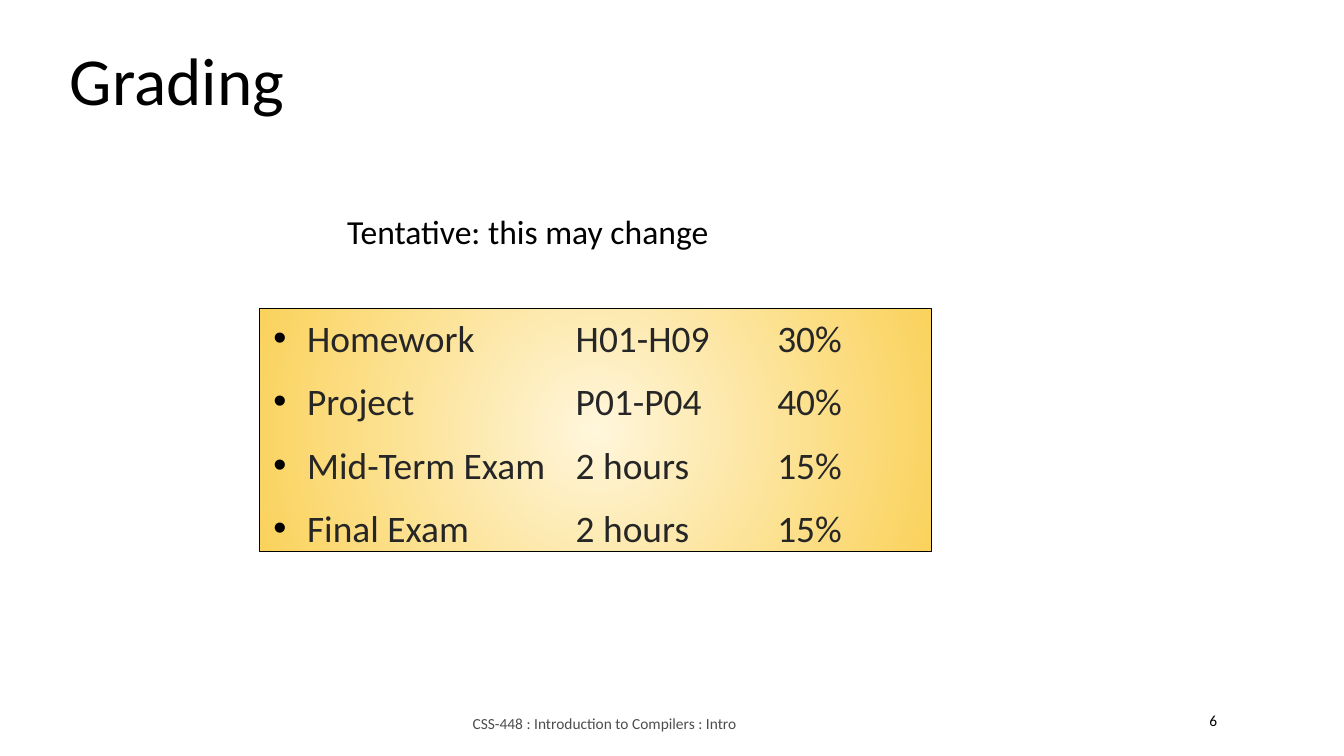
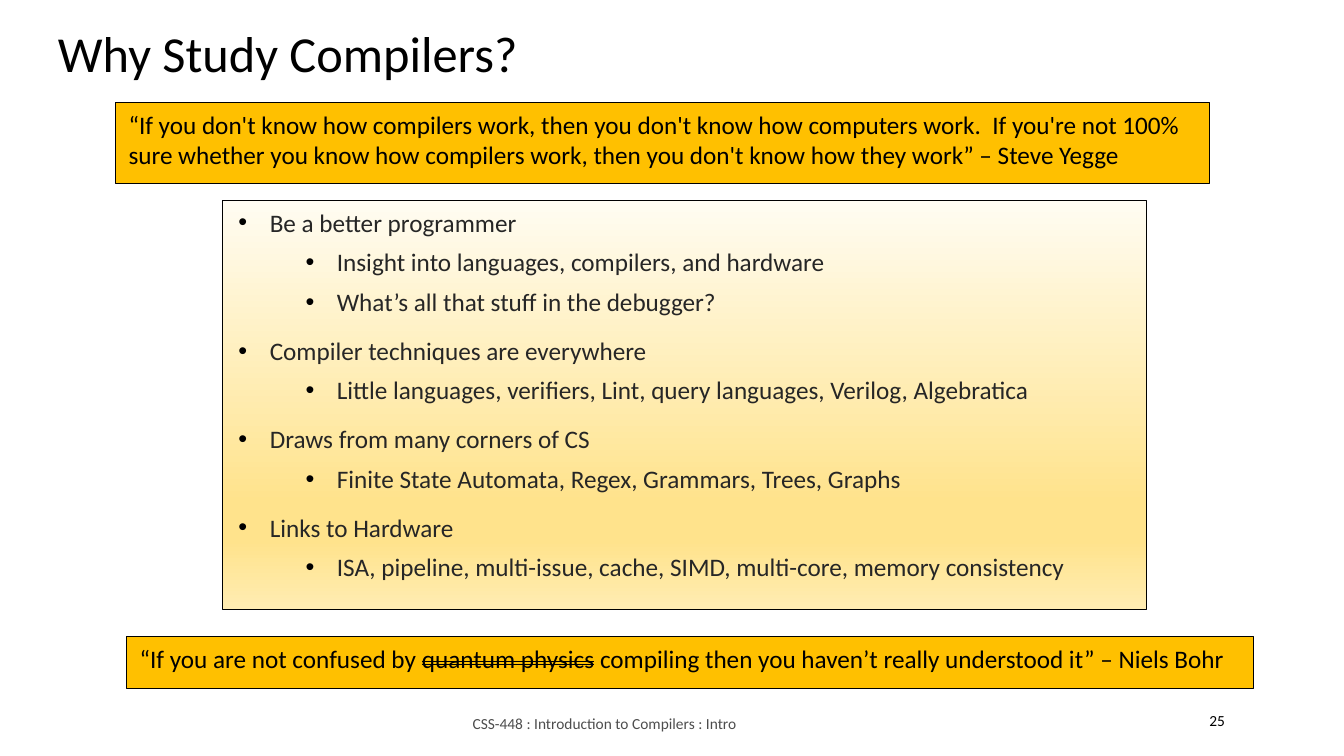
from lxml.etree import SubElement
from pptx import Presentation
from pptx.dml.color import RGBColor
from pptx.enum.shapes import MSO_SHAPE as Shape
from pptx.enum.text import MSO_ANCHOR as Anchor, MSO_AUTO_SIZE as AutoSize, PP_ALIGN as Align
from pptx.oxml.ns import qn
from pptx.util import Cm, Pt

FONT = "Calibri"
BLACK = RGBColor(0x00, 0x00, 0x00)
BODY_GRAY = RGBColor(0x26, 0x26, 0x26)
FOOTER_GRAY = RGBColor(0x4D, 0x4D, 0x4D)
AMBER = RGBColor(0xFF, 0xC0, 0x00)
PALE_CREAM = RGBColor(0xFF, 0xF6, 0xDB)
GOLD = RGBColor(0xFA, 0xD2, 0x5C)
IVORY = RGBColor(0xFF, 0xFC, 0xF2)
YELLOW = RGBColor(0xFF, 0xE3, 0x8C)
LIGHT_YELLOW = RGBColor(0xFF, 0xEC, 0xB2)

RADIAL_STOPS = [(0, PALE_CREAM), (100, GOLD)]
LINEAR_STOPS = [(0, IVORY), (74, YELLOW), (83, YELLOW), (100, LIGHT_YELLOW)]
FOOTER = "CSS-448 : Introduction to Compilers : Intro"
INSETS = (0.34, 0.17)
TAB_STEP = 2.54
TAB_COUNT = 5

GRADES = [
    (0, "Homework\t\tH01-H09\t30%"),
    (0, "Project\t\tP01-P04\t40%"),
    (0, "Mid-Term Exam\t2 hours\t15%"),
    (0, "Final Exam\t\t2 hours\t15%"),
]
REASONS = [
    (0, "Be a better programmer"),
    (1, "Insight into languages, compilers, and hardware"),
    (1, "What’s all that stuff in the debugger?"),
    (0, "Compiler techniques are everywhere"),
    (1, "Little languages, verifiers, Lint, query languages, Verilog, Algebratica"),
    (0, "Draws from many corners of CS"),
    (1, "Finite State Automata, Regex, Grammars, Trees, Graphs"),
    (0, "Links to Hardware"),
    (1, "ISA, pipeline, multi-issue, cache, SIMD, multi-core, memory consistency"),
]
YEGGE_QUOTE = (
    "“If you don't know how compilers work, then you don't know how computers work.  "
    "If you're not 100% sure whether you know how compilers work, "
    "then you don't know how they work” – Steve Yegge"
)


def add_text(paragraph, text, size=18, color=BLACK, strike=False):
    """Append a formatted run to a paragraph."""
    run = paragraph.add_run()
    run.text = text
    run.font.name = FONT
    run.font.size = Pt(size)
    run.font.color.rgb = color
    if strike:
        run.font._element.set("strike", "dblStrike")


def set_frame(shape, insets=INSETS, anchor=Anchor.TOP):
    """Prepare a text frame and return its left-aligned first paragraph."""
    frame = shape.text_frame
    frame.word_wrap = True
    frame.auto_size = AutoSize.NONE
    frame.vertical_anchor = anchor
    frame.margin_left = frame.margin_right = Cm(insets[0])
    frame.margin_top = frame.margin_bottom = Cm(insets[1])
    paragraph = frame.paragraphs[0]
    paragraph.alignment = Align.LEFT
    return paragraph


def add_text_box(slide, box, text, insets=INSETS, anchor=Anchor.TOP, **text_format):
    """Add a text box with one paragraph."""
    shape = slide.shapes.add_textbox(*map(Cm, box))
    add_text(set_frame(shape, insets, anchor), text, **text_format)


def add_panel(slide, box, fill=AMBER):
    """Add a rectangle with a thin black outline."""
    shape = slide.shapes.add_shape(Shape.RECTANGLE, *map(Cm, box))
    shape.shadow.inherit = False
    shape.fill.solid()
    shape.fill.fore_color.rgb = fill
    shape.line.color.rgb = BLACK
    shape.line.width = Pt(0.75)
    return shape


def set_gradient(shape, stops, radial=False):
    """Replace the solid fill of a shape with a radial or vertical gradient."""
    properties = shape._element.spPr
    gradient = SubElement(properties, qn("a:gradFill"), rotWithShape="1")
    stop_list = SubElement(gradient, qn("a:gsLst"))
    for percent, color in stops:
        stop = SubElement(stop_list, qn("a:gs"), pos=str(percent * 1000))
        SubElement(stop, qn("a:srgbClr"), val=str(color))
    if radial:
        circle = SubElement(gradient, qn("a:path"), path="circle")
        center = dict.fromkeys("ltrb", "50000")
        SubElement(circle, qn("a:fillToRect"), **center)
    else:
        SubElement(gradient, qn("a:lin"), ang="5400000", scaled="0")
    properties.replace(properties.find(qn("a:solidFill")), gradient)


def set_bullet(paragraph, level, hanging, tabs):
    """Give a paragraph a black bullet, a hanging indent and optional tab stops."""
    paragraph.level = level
    properties = paragraph._p.get_or_add_pPr()
    properties.set("marL", str(Cm(2.54 if level else 0.85)))
    properties.set("indent", str(-Cm(hanging)))
    color = SubElement(properties, qn("a:buClr"))
    SubElement(color, qn("a:srgbClr"), val=str(BLACK))
    SubElement(properties, qn("a:buFont"), typeface="Arial")
    SubElement(properties, qn("a:buChar"), char="•")
    if tabs:
        properties.set("defTabSz", str(Cm(TAB_STEP)))
        tab_list = SubElement(properties, qn("a:tabLst"))
        for number in range(1, TAB_COUNT + 1):
            SubElement(tab_list, qn("a:tab"), pos=str(Cm(number * TAB_STEP)), algn="l")


def add_bullet_panel(slide, box, items, stops, size, hanging, radial=False, tabs=False):
    """Add a gradient panel holding a bulleted list."""
    shape = add_panel(slide, box)
    set_gradient(shape, stops, radial)
    first = set_frame(shape)
    for index, (level, text) in enumerate(items):
        paragraph = shape.text_frame.add_paragraph() if index else first
        paragraph.alignment = Align.LEFT
        set_bullet(paragraph, level, hanging, tabs)
        if index:
            paragraph.space_before = Pt(6.7 if level else 13.3)
        add_text(paragraph, text, size=size, color=BODY_GRAY)


def add_quote(slide, box, pieces):
    """Add an amber quote panel from pairs of text and strike flag."""
    paragraph = set_frame(add_panel(slide, box))
    for text, strike in pieces:
        add_text(paragraph, text, strike=strike)


def add_page_number(slide, number):
    """Add the slide number in an unfilled ellipse."""
    shape = slide.shapes.add_shape(Shape.OVAL, Cm(29.9), Cm(17.65), Cm(2.24), Cm(1.02))
    shape.shadow.inherit = False
    shape.fill.background()
    shape.line.fill.background()
    add_text(set_frame(shape, insets=(0.25, 0.13)), str(number), size=11)


def add_slide(presentation, title, box, size, number):
    """Add a slide with its title, footer and number."""
    slide = presentation.slides.add_slide(presentation.slide_layouts[5])
    shape = slide.shapes.title
    shape.left, shape.top, shape.width, shape.height = map(Cm, box)
    add_text(set_frame(shape), title, size=size)
    add_text_box(slide, (11.66, 17.78, 10.54, 0.89), FOOTER, insets=(0.25, 0.13),
                 anchor=Anchor.MIDDLE, size=11, color=FOOTER_GRAY)
    add_page_number(slide, number)
    return slide


def add_grading(presentation):
    """Build the grading slide."""
    slide = add_slide(presentation, "Grading", (1.42, 0.79, 25.12, 2.57), 48, 6)
    add_text_box(slide, (8.41, 4.98, 21.08, 2.13), "Tentative: this may change",
                 insets=(0.34, 0.34), size=24)
    add_bullet_panel(slide, (6.55, 7.77, 16.92, 6.12), GRADES, RADIAL_STOPS,
                     size=26.7, hanging=0.85, radial=True, tabs=True)


def add_why_compilers(presentation):
    """Build the slide on reasons to study compilers."""
    slide = add_slide(presentation, "Why Study Compilers?", (1.12, 0.38, 28.78, 2.21), 36, 25)
    add_bullet_panel(slide, (5.61, 5.05, 23.29, 10.31), REASONS, LINEAR_STOPS,
                     size=18, hanging=0.79)
    add_quote(slide, (2.9, 2.59, 27.58, 2.03), [(YEGGE_QUOTE, False)])
    add_quote(slide, (3.18, 16.03, 28.4, 1.32), [
        ("“If you are not confused by ", False),
        ("quantum physics", True),
        (" compiling then you haven’t really understood it” – Niels Bohr", False),
    ])


def main():
    """Build and save the presentation."""
    presentation = Presentation()
    presentation.slide_width = Cm(33.87)
    presentation.slide_height = Cm(19.05)
    add_grading(presentation)
    add_why_compilers(presentation)
    presentation.save("out.pptx")


if __name__ == "__main__":
    main()
